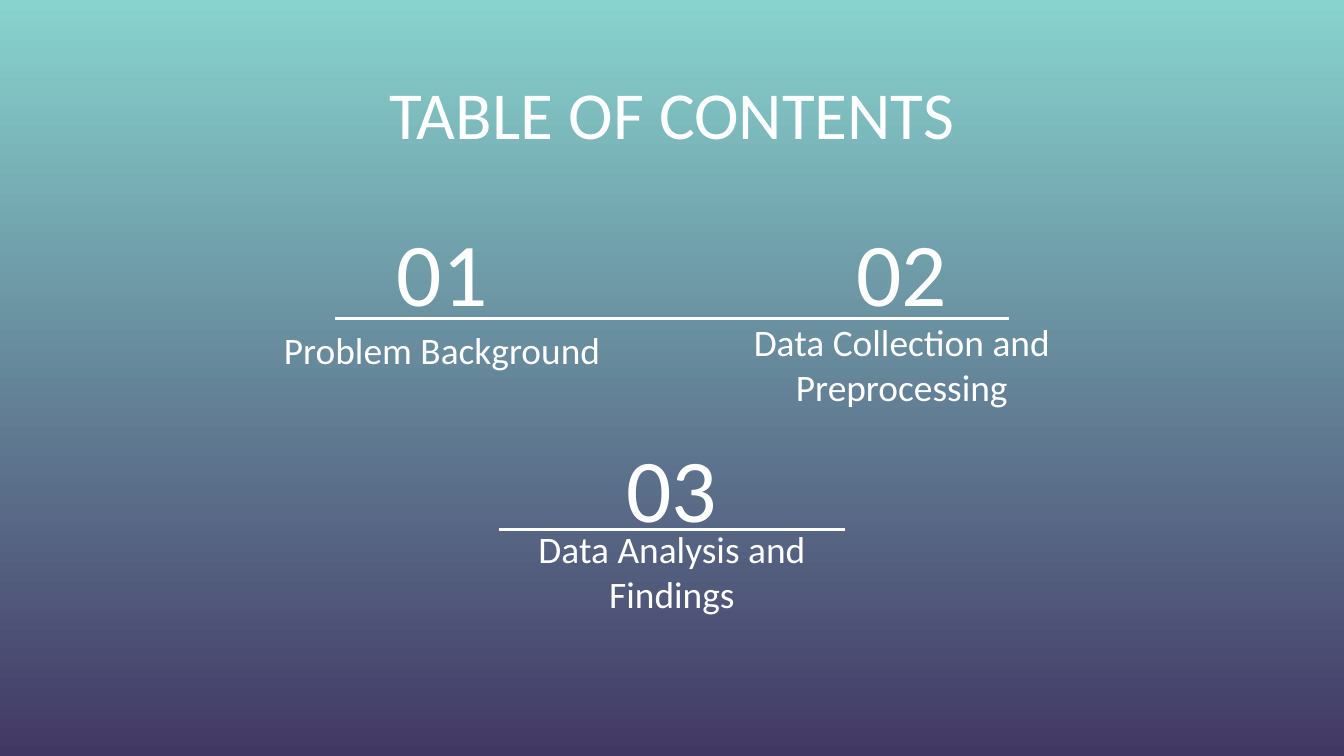
"""Build a table of contents slide with three numbered sections on a gradient."""
from lxml.etree import SubElement
from pptx import Presentation
from pptx.dml.color import RGBColor
from pptx.enum.shapes import MSO_CONNECTOR as Connector
from pptx.enum.text import MSO_ANCHOR as Anchor, PP_ALIGN as Align
from pptx.oxml.ns import qn
from pptx.util import Inches, Pt

WHITE = RGBColor(0xFF, 0xFF, 0xFF)
TEAL = RGBColor(0x88, 0xD3, 0xCE)
PURPLE = RGBColor(0x42, 0x38, 0x64)

SLIDE_WIDTH = 10
SLIDE_HEIGHT = SLIDE_WIDTH * 9 / 16
CENTER = SLIDE_WIDTH / 2
COLUMN_OFFSET = 1.71
NUMBER_WIDTH, NUMBER_HEIGHT = 1.92, 0.63
LABEL_WIDTH = 2.88

TITLE_FONT = {"name": "Calibri", "size": Pt(36)}
NUMBER_FONT = {"name": "Calibri", "size": Pt(48)}
LABEL_FONT = {"name": "Calibri", "size": Pt(20)}

SECTIONS = [
    ("01", "Problem Background", CENTER - COLUMN_OFFSET, 1.7, 2.24, 0.63),
    ("02", "Data Collection and Preprocessing", CENTER + COLUMN_OFFSET, 1.7, 2.38, 0.76),
    ("03", "Data Analysis and Findings", CENTER, 3.31, 4.05, 0.63),
]
RULES = [(2.37, 5.02), (3.94, 2.58)]


def paint_background(slide):
    fill = slide.background.fill
    fill.gradient()
    fill.gradient_angle = 270
    for stop, color in zip(fill.gradient_stops, (TEAL, PURPLE)):
        stop.color.rgb = color


def add_text(slide, text, center, top, width, height, font, anchor):
    box = slide.shapes.add_textbox(
        Inches(center - width / 2), Inches(top), Inches(width), Inches(height)
    )
    frame = box.text_frame
    frame_format = {"word_wrap": True, "vertical_anchor": anchor}
    for side in ("left", "top", "right", "bottom"):
        frame_format[f"margin_{side}"] = Inches(0.1)
    for name, value in frame_format.items():
        setattr(frame, name, value)
    para = frame.paragraphs[0]
    para.alignment = Align.CENTER
    span = para.add_run()
    span.text = text
    for name, value in font.items():
        setattr(span.font, name, value)
    span.font.color.rgb = WHITE


def add_section(slide, number, label, center, number_top, label_top, label_height):
    add_text(slide, number, center, number_top, NUMBER_WIDTH, NUMBER_HEIGHT,
             NUMBER_FONT, Anchor.MIDDLE)
    add_text(slide, label, center, label_top, LABEL_WIDTH, label_height,
             LABEL_FONT, Anchor.BOTTOM)


def add_rule(slide, top, width):
    rule = slide.shapes.add_connector(
        Connector.STRAIGHT,
        Inches(CENTER - width / 2), Inches(top),
        Inches(CENTER + width / 2), Inches(top),
    )
    rule.line.color.rgb = WHITE
    rule.line.width = Pt(1.5)
    SubElement(rule._element.spPr, qn("a:effectLst"))


def main():
    deck = Presentation()
    deck.slide_width = Inches(SLIDE_WIDTH)
    deck.slide_height = Inches(SLIDE_HEIGHT)
    slide = deck.slides.add_slide(deck.slide_layouts[6])
    paint_background(slide)
    add_text(slide, "TABLE OF CONTENTS", CENTER, 0.44, 7.55, 1.03, TITLE_FONT, Anchor.TOP)
    for section in SECTIONS:
        add_section(slide, *section)
    for top, width in RULES:
        add_rule(slide, top, width)
    deck.save("out.pptx")


if __name__ == "__main__":
    main()
